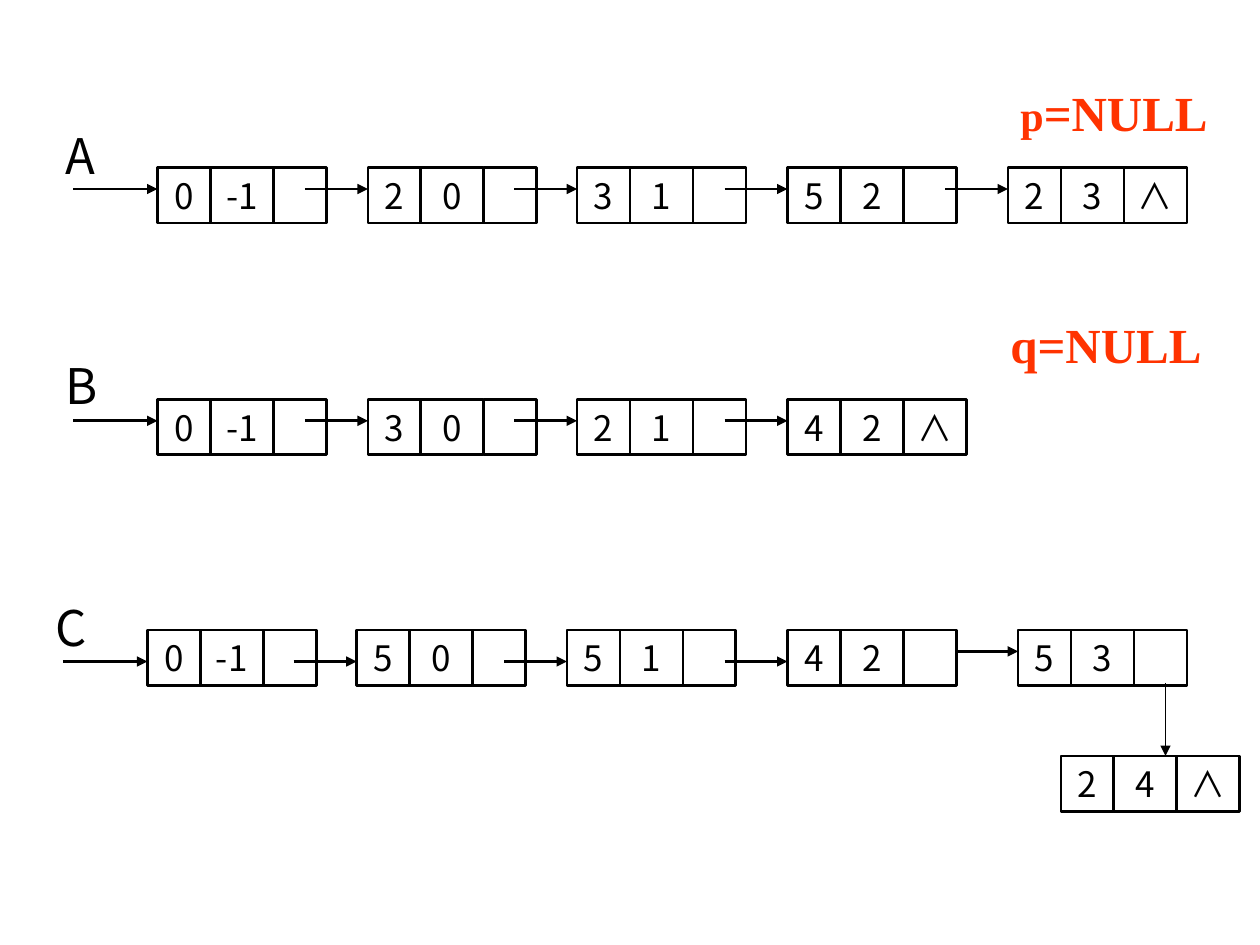
from dataclasses import dataclass

from lxml.etree import SubElement
from pptx import Presentation
from pptx.dml.color import RGBColor
from pptx.enum.shapes import MSO_CONNECTOR, MSO_SHAPE
from pptx.enum.text import MSO_ANCHOR, PP_ALIGN
from pptx.oxml.ns import qn
from pptx.util import Inches, Pt


@dataclass(frozen=True)
class Theme:
    """Colours, fonts, type sizes and line widths of the slide."""
    ink: RGBColor = RGBColor(0x00, 0x00, 0x00)
    accent: RGBColor = RGBColor(0xFF, 0x33, 0x00)
    body_font: str = "Noto Sans CJK JP"
    symbol_font: str = "Noto Sans CJK SC"
    status_font: str = "Times New Roman"
    cell_size: int = 20
    small_status_size: int = 24
    label_size: int = 28
    line_width: float = 1.5
    thin_width: float = 1


THEME = Theme()
END_MARK = "∧"
DATA_WIDTH, INDEX_WIDTH, LINK_WIDTH, END_WIDTH = 0.42, 0.5, 0.42, 0.5
NODE_HEIGHT = 0.44
LABEL_HEIGHT = 0.57
LINK_LENGTH, HEAD_LENGTH = 0.5, 0.67


def add_run(paragraph, text, font_name, size, color, bold=False):
    """Add one formatted run whose East Asian font matches its Latin font."""
    run = paragraph.add_run()
    run.text = text
    run.font.size = Pt(size)
    run.font.bold = bold
    run.font.color.rgb = color
    run.font.name = font_name
    properties = run.font._element
    SubElement(properties, qn("a:ea")).set("typeface", font_name)


def add_cell(slide, left, top, width, text):
    """Draw one outlined field of a node."""
    cell = slide.shapes.add_shape(
        MSO_SHAPE.RECTANGLE, Inches(left), Inches(top), Inches(width), Inches(NODE_HEIGHT))
    cell.shadow.inherit = False
    cell.fill.background()
    cell.line.color.rgb = THEME.ink
    cell.line.width = Pt(THEME.line_width)
    if text:
        frame = cell.text_frame
        frame.word_wrap = True
        frame.margin_top = frame.margin_bottom = 0
        frame.vertical_anchor = MSO_ANCHOR.MIDDLE
        paragraph = frame.paragraphs[0]
        paragraph.alignment = PP_ALIGN.CENTER
        font_name = THEME.symbol_font if text == END_MARK else THEME.body_font
        add_run(paragraph, text, font_name, THEME.cell_size, THEME.ink)


def add_node(slide, left, top, data, index, is_last=False):
    """Draw a list node with its data, index and link fields."""
    fields = (
        (DATA_WIDTH, data),
        (INDEX_WIDTH, index),
        (END_WIDTH, END_MARK) if is_last else (LINK_WIDTH, ""),
    )
    for width, text in fields:
        add_cell(slide, left, top, width, text)
        left += width


def add_arrow(slide, start, end, width=THEME.line_width):
    """Draw a straight arrow between two points."""
    arrow = slide.shapes.add_connector(
        MSO_CONNECTOR.STRAIGHT, *(Inches(value) for value in (*start, *end)))
    arrow.line.color.rgb = THEME.ink
    arrow.line.width = Pt(width)
    SubElement(arrow.line._get_or_add_ln(), qn("a:tailEnd")).set("type", "triangle")
    SubElement(arrow._element.spPr, qn("a:effectLst"))


def add_label(slide, left, top, width, runs):
    """Add a one-line label made of (text, font, size, colour, bold) runs."""
    box = slide.shapes.add_textbox(
        Inches(left), Inches(top), Inches(width), Inches(LABEL_HEIGHT))
    frame = box.text_frame
    frame.word_wrap = True
    frame.margin_top = 0
    frame.margin_bottom = Inches(0.03)
    frame.vertical_anchor = MSO_ANCHOR.BOTTOM
    for run in runs:
        add_run(frame.paragraphs[0], *run)


def add_status(slide, left, top, width, *parts):
    """Add a red pointer status from (text, size) parts."""
    add_label(slide, left, top, width, [
        (text, THEME.status_font, size, THEME.accent, True) for text, size in parts])


def add_list(slide, top, name, label_rise, lefts, data, arrow_drops, ends_here=True):
    """Draw a named linked list; arrow drops are measured from the node tops."""
    add_label(slide, lefts[0] - 0.83, top - label_rise, 0.83,
              [(name, THEME.body_font, THEME.label_size, THEME.ink)])
    for position, (left, value, drop) in enumerate(zip(lefts, data, arrow_drops)):
        is_last = ends_here and position == len(lefts) - 1
        add_node(slide, left, top, value, str(position - 1), is_last)
        length = LINK_LENGTH if position else HEAD_LENGTH
        add_arrow(slide, (left - length, top + drop), (left, top + drop))


def add_tail(slide, left, top):
    """Draw the last node of the result list below its predecessor."""
    add_node(slide, left, top, "2", "4", is_last=True)
    add_arrow(slide, (left + 0.83, top - 0.58), (left + 0.83, top), THEME.thin_width)


def main():
    """Build the slide and save it."""
    presentation = Presentation()
    presentation.slide_width, presentation.slide_height = Inches(10), Inches(7.5)
    slide = presentation.slides.add_slide(presentation.slide_layouts[6])

    lefts = [1.25, 2.92, 4.58, 6.25, 8]
    add_list(slide, 1.33, "A", 0.41, lefts, "02352", [0.17] * 5)
    add_list(slide, 3.17, "B", 0.42, lefts[:4], "0324", [0.17] * 4)
    add_list(slide, 5, "C", 0.33, [1.17, 2.83, 4.5, 6.25, 8.08], "05545",
             [0.25] * 4 + [0.17], ends_here=False)
    add_tail(slide, 8.42, 6)

    add_status(slide, 8, 0.58, 1.75,
               ("p", THEME.small_status_size), ("=NULL", THEME.label_size))
    add_status(slide, 7.92, 2.42, 1.92, ("q=NULL", THEME.label_size))
    presentation.save("out.pptx")


if __name__ == "__main__":
    main()
